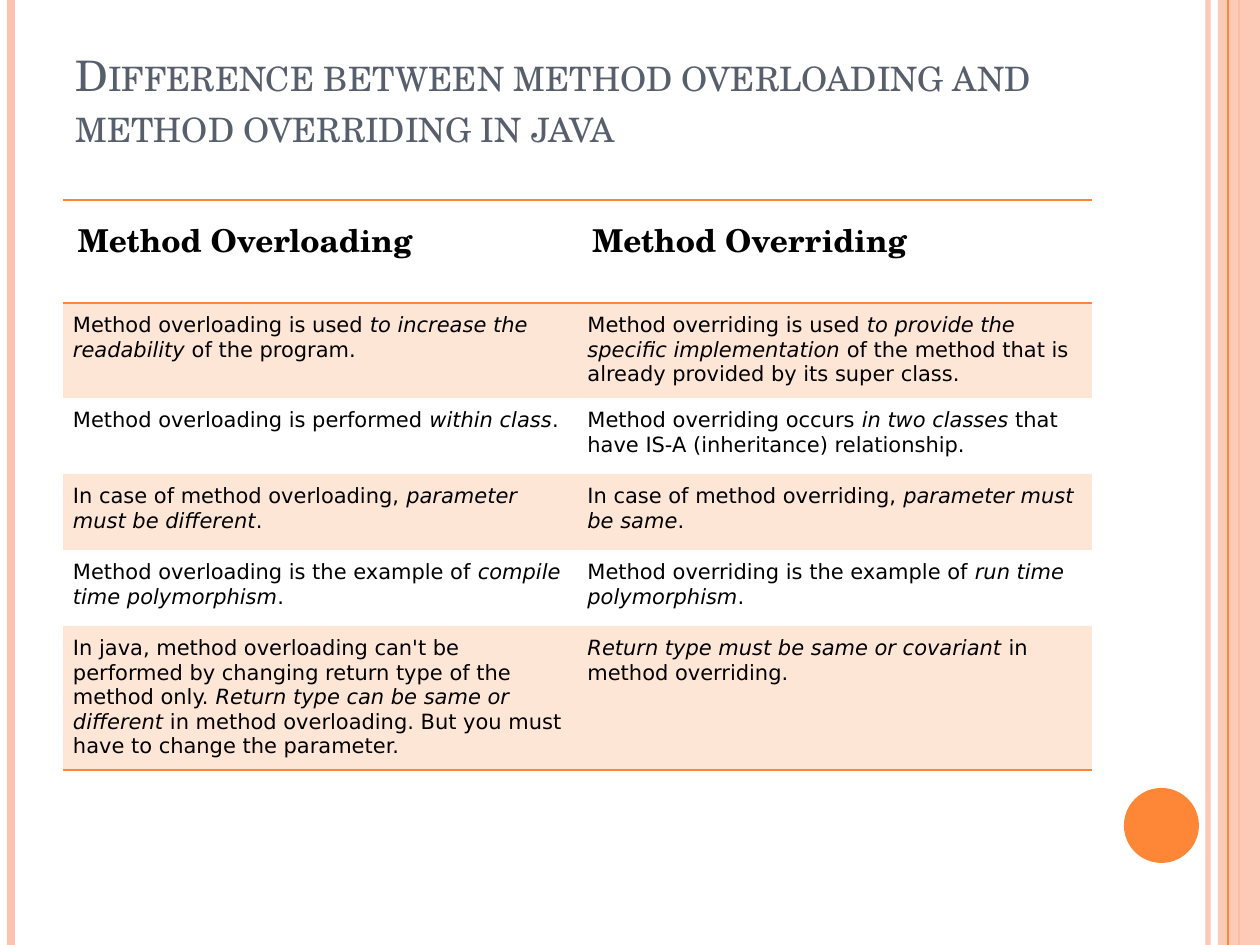
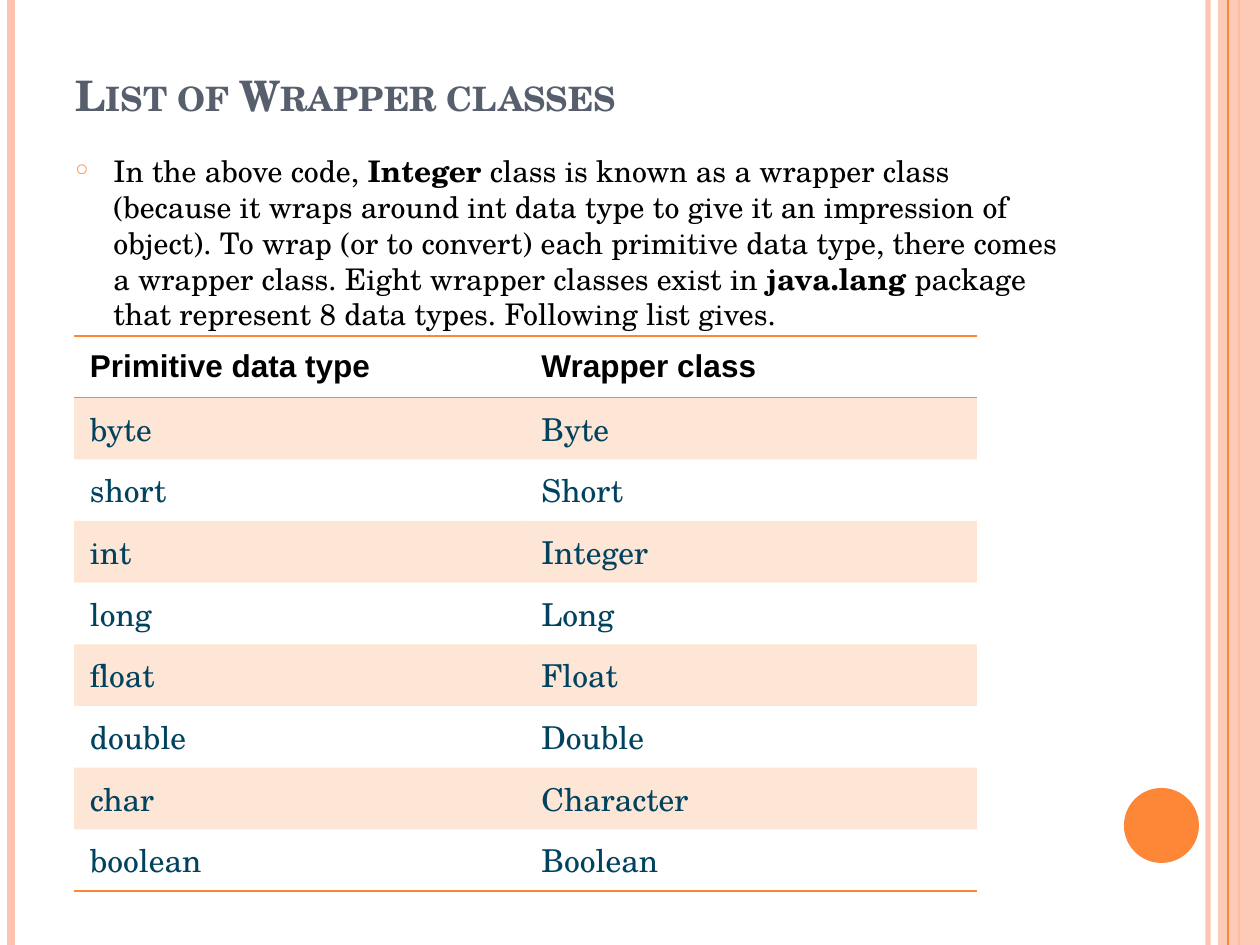
from lxml.etree import SubElement
from pptx import Presentation
from pptx.dml.color import RGBColor
from pptx.enum.shapes import MSO_CONNECTOR, MSO_SHAPE
from pptx.enum.text import MSO_ANCHOR, MSO_AUTO_SIZE, PP_ALIGN
from pptx.oxml import parse_xml
from pptx.oxml.ns import nsdecls, qn
from pptx.util import Inches, Pt

PX = 7257  # EMU in one px, at 126 px to the inch
ORANGE, PEACH, SLATE, TEAL, BLACK = "FE8637", "FEC3AE", "575F6D", "01435F", "000000"
SERIF, SANS, HEADING = "TeX Gyre Schola", "DejaVu Sans", "Arial"
PLAIN_TABLE_STYLE = "{2D5ABB26-0587-4C30-8999-92F81FD0307C}"


def paint(fill, color, opacity=100):
    fill.solid()
    fill.fore_color.rgb = RGBColor.from_string(color)
    if opacity < 100:
        rgb = fill._xPr.find(qn("a:solidFill")).find(qn("a:srgbClr"))
        SubElement(rgb, qn("a:alpha")).set("val", str(opacity * 1000))


def write_runs(paragraph, text, font_name, size, color, bold=False, emphasis="italic"):
    """Write text as runs; the parts between asterisks get the emphasis."""
    for index, part in enumerate(text.split("*")):
        if not part:
            continue
        run = paragraph.add_run()
        run.text = part
        run.font.name = font_name
        run.font.size = Pt(size)
        run.font.bold = bold
        paint(run.font.fill, color)
        if index % 2:
            setattr(run.font, emphasis, True)


# x, color, width in points, opacity
BEHIND_BAND = [(1208, PEACH, 3, 93), (11, PEACH, 4.5, 100), (1239, ORANGE, 1.5, 100)]
OVER_BAND = [(1228, ORANGE, 0.75, 100)]

SLIDES = [
    {
        "title": "Difference between method overloading and method overriding in java",
        "title_height": 119,
        "title_bold": False,
        "left": 63, "top": 200, "width": 1029,
        "row_heights": [103, 95, 76, 76, 76, 144],
        "header": (SERIF, 18, BLACK, True), "header_insets": (15, 16),
        "body": (SANS, 12, BLACK), "body_insets": (10, 10),
        "anchor": MSO_ANCHOR.TOP,
        "rows": [
            ("Method Overloading", "Method Overriding"),
            ("Method overloading is used *to increase the readability* of the program.",
             "Method overriding is used *to provide the specific implementation* of the "
             "method that is already provided by its super class."),
            ("Method overloading is performed *within class*.",
             "Method overriding occurs *in two classes* that have IS-A (inheritance) "
             "relationship."),
            ("In case of method overloading, *parameter must be different*.",
             "In case of method overriding, *parameter must be same*."),
            ("Method overloading is the example of *compile time polymorphism*.",
             "Method overriding is the example of *run time polymorphism*."),
            ("In java, method overloading can't be performed by changing return type of "
             "the method only. *Return type can be same or different* in method "
             "overloading. But you must have to change the parameter.",
             "*Return type must be same or covariant* in method overriding."),
        ],
    },
    {
        "title": "List of Wrapper classes",
        "title_height": 88,
        "title_bold": True,
        "intro": "In the above code, *Integer* class is known as a wrapper class (because "
                 "it wraps around int data type to give it an impression of object). To "
                 "wrap (or to convert) each primitive data type, there comes a wrapper "
                 "class. Eight wrapper classes exist in *java.lang* package that "
                 "represent 8 data types. Following list gives.",
        "left": 74, "top": 336, "width": 903,
        "row_heights": [555 / 9] * 9,
        "header": (HEADING, 18, BLACK, True), "header_insets": (16, 5),
        "body": (SERIF, 18, TEAL), "body_insets": (16, 5),
        "anchor": MSO_ANCHOR.MIDDLE,
        "rows": [
            ("Primitive data type", "Wrapper class"),
            ("byte", "Byte"),
            ("short", "Short"),
            ("int", "Integer"),
            ("long", "Long"),
            ("float", "Float"),
            ("double", "Double"),
            ("char", "Character"),
            ("boolean", "Boolean"),
        ],
    },
]

presentation = Presentation()
presentation.slide_width = Inches(10)
presentation.slide_height = Inches(7.5)
slide_height = presentation.slide_height

for content in SLIDES:
    slide = presentation.slides.add_slide(presentation.slide_layouts[5])
    shapes = slide.shapes

    # Side stripes, band and disc
    for stripes in (BEHIND_BAND, OVER_BAND):
        for x, color, width, opacity in stripes:
            stripe = shapes.add_connector(
                MSO_CONNECTOR.STRAIGHT, x * PX, 0, x * PX, slide_height)
            stripe.line.width = Pt(width)
            paint(stripe.line.fill, color, opacity)
            SubElement(stripe._element.spPr, qn("a:effectLst"))
        if stripes is BEHIND_BAND:
            band = shapes.add_shape(
                MSO_SHAPE.RECTANGLE, 1218 * PX, 0, 42 * PX, slide_height)
            paint(band.fill, PEACH, 87)
    disc = shapes.add_shape(MSO_SHAPE.OVAL, 1124 * PX, 788 * PX, 75 * PX, 75 * PX)
    paint(disc.fill, ORANGE)
    for shape in (band, disc):
        shape.line.fill.background()
        shape.shadow.inherit = False

    # Title
    title = shapes.title
    title.left, title.top = 63 * PX, 38 * PX
    title.width, title.height = 1029 * PX, content["title_height"] * PX
    title.text_frame.auto_size = MSO_AUTO_SIZE.NONE
    title.text_frame.vertical_anchor = MSO_ANCHOR.BOTTOM
    paragraph = title.text_frame.paragraphs[0]
    paragraph.alignment = PP_ALIGN.LEFT
    write_runs(paragraph, content["title"], SERIF, 24, SLATE, content["title_bold"])
    paragraph.runs[0].font._element.set("cap", "small")

    # Bulleted introduction
    if "intro" in content:
        intro = shapes.add_textbox(63 * PX, 147 * PX, 1029 * PX, 158 * PX)
        intro.text_frame.word_wrap = True
        intro.text_frame.margin_right = 24 * PX
        paragraph = intro.text_frame.paragraphs[0]
        properties = paragraph._p.get_or_add_pPr()
        properties.set("marL", str(38 * PX))
        properties.set("indent", str(-38 * PX))
        bullet_color = SubElement(properties, qn("a:buClr"))
        SubElement(bullet_color, qn("a:srgbClr")).set("val", ORANGE)
        SubElement(properties, qn("a:buSzPct")).set("val", "55000")
        SubElement(properties, qn("a:buChar")).set("char", "○")
        write_runs(paragraph, content["intro"], SERIF, 17, BLACK, emphasis="bold")

    # Table with every second row tinted
    rows, row_heights = content["rows"], content["row_heights"]
    frame = shapes.add_table(
        len(rows), 2, content["left"] * PX, content["top"] * PX,
        content["width"] * PX, int(sum(row_heights) * PX))
    table = frame.table
    table._tbl.tblPr.find(qn("a:tableStyleId")).text = PLAIN_TABLE_STYLE
    table.horz_banding = False
    for row_index, texts in enumerate(rows):
        table.rows[row_index].height = int(row_heights[row_index] * PX)
        part = "body" if row_index else "header"
        inset_x, inset_y = content[part + "_insets"]
        edges = []
        if row_index in (0, len(rows) - 1):
            edges.append("lnB")
        if row_index == 0:
            edges.append("lnT")
        for column_index, text in enumerate(texts):
            cell = table.cell(row_index, column_index)
            cell.margin_left = cell.margin_right = inset_x * PX
            cell.margin_top = cell.margin_bottom = inset_y * PX
            cell.vertical_anchor = content["anchor"]
            if row_index % 2:
                paint(cell.fill, ORANGE, 20)
            else:
                cell.fill.background()
            for edge in edges:
                cell._tc.tcPr.insert(0, parse_xml(
                    f'<a:{edge} {nsdecls("a")} w="{Pt(1)}"><a:solidFill>'
                    f'<a:srgbClr val="{ORANGE}"/></a:solidFill></a:{edge}>'))
            write_runs(cell.text_frame.paragraphs[0], text, *content[part])

presentation.save("out.pptx")
